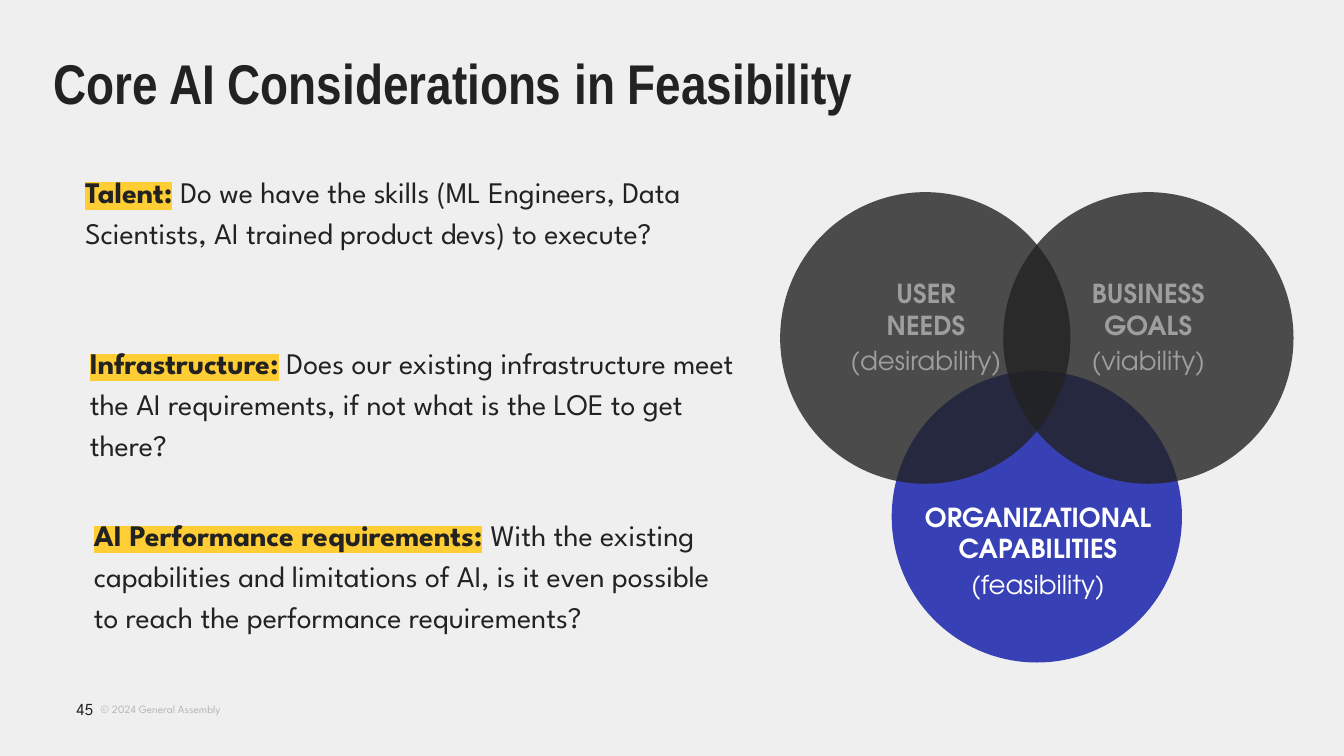
from dataclasses import dataclass

from lxml.etree import SubElement
from pptx import Presentation
from pptx.dml.color import RGBColor
from pptx.enum.shapes import MSO_SHAPE
from pptx.enum.text import MSO_ANCHOR, MSO_AUTO_SIZE, PP_ALIGN
from pptx.oxml import parse_xml
from pptx.oxml.ns import nsdecls, qn
from pptx.util import Pt

SCALE = 4572  # EMU per px, 200 px to the inch


@dataclass(frozen=True)
class Theme:
    back: str = "EFEFEF"
    ink: str = "222222"
    mark: str = "FFCD34"
    blue: str = "3740B5"
    dim: str = "9E9E9E"
    pale: str = "B7B7B7"
    white: str = "FFFFFF"
    head: str = "Arial Narrow"
    body: str = "League Spartan"
    label: str = "TeX Gyre Adventor"
    title_size: int = 30
    body_size: int = 16
    label_size: int = 14
    page_size: int = 9
    foot_size: int = 6


class Deck:
    def __init__(self, theme, wide, high):
        self.theme = theme
        self.file = Presentation()
        self.file.slide_width = wide * SCALE
        self.file.slide_height = high * SCALE
        self.slide = self.file.slides.add_slide(self.file.slide_layouts[5])
        fill = self.slide.background.fill
        fill.solid()
        fill.fore_color.rgb = RGBColor.from_string(theme.back)

    def scale(self, box):
        return [n * SCALE for n in box]

    def frame(self, shape, inset=0, anchor=MSO_ANCHOR.TOP):
        frame = shape.text_frame
        frame.word_wrap = True
        frame.auto_size = MSO_AUTO_SIZE.NONE
        frame.vertical_anchor = anchor
        frame.margin_left = frame.margin_right = inset * SCALE
        frame.margin_top = frame.margin_bottom = inset * SCALE
        return frame

    def run(self, para, text, font, size, color, bold=False, mark=None):
        run = para.add_run()
        run.text = text
        run.font.size = Pt(size)
        run.font.bold = bold
        run.font.color.rgb = RGBColor.from_string(color)
        if mark:
            light = parse_xml(f'<a:highlight {nsdecls("a")}><a:srgbClr val="{mark}"/></a:highlight>')
            run.font.fill._xPr.find(qn("a:solidFill")).addnext(light)
        run.font.name = font

    def text_box(self, box, inset=0, anchor=MSO_ANCHOR.TOP):
        shape = self.slide.shapes.add_textbox(*self.scale(box))
        return self.frame(shape, inset, anchor)

    def title(self, box, text):
        t = self.theme
        shape = self.slide.shapes.title
        shape.left, shape.top, shape.width, shape.height = self.scale(box)
        para = self.frame(shape).paragraphs[0]
        para.alignment = PP_ALIGN.LEFT
        para.line_spacing = 0.9
        self.run(para, text, t.head, t.title_size, t.ink, bold=True)

    def note(self, box, text, size, color, align=PP_ALIGN.LEFT):
        para = self.text_box(box, anchor=MSO_ANCHOR.MIDDLE).paragraphs[0]
        para.alignment = align
        self.run(para, text, self.theme.body, size, color)

    def point(self, box, term, text):
        t = self.theme
        para = self.text_box(box, inset=20).paragraphs[0]
        para.line_spacing = 1.15
        para.space_after = Pt(10)
        self.run(para, term, t.body, t.body_size, t.ink, bold=True, mark=t.mark)
        self.run(para, " ", t.body, t.body_size, t.ink, bold=True)
        self.run(para, text, t.body, t.body_size, t.ink)

    def circle(self, box, color, alpha=100):
        shape = self.slide.shapes.add_shape(MSO_SHAPE.OVAL, *self.scale(box))
        shape.shadow.inherit = False
        shape.line.fill.background()
        shape.fill.solid()
        shape.fill.fore_color.rgb = RGBColor.from_string(color)
        if alpha < 100:
            tint = shape.fill._xPr.find(qn("a:solidFill"))[0]
            SubElement(tint, qn("a:alpha")).set("val", str(alpha * 1000))

    def label(self, box, lines, sub, color):
        t = self.theme
        frame = self.text_box(box, inset=8, anchor=MSO_ANCHOR.MIDDLE)
        top, low = frame.paragraphs[0], frame.add_paragraph()
        top.alignment = low.alignment = PP_ALIGN.CENTER
        low.space_before = low.space_after = Pt(2)
        for i, line in enumerate(lines):
            if i:
                top.add_line_break()
            self.run(top, line, t.label, t.label_size, color, bold=True)
        self.run(low, sub, t.label, t.label_size, color)


def main():
    theme = Theme()
    deck = Deck(theme, 2000, 1125)

    # Footer and title
    deck.note((150, 1035, 200, 40), "© 2024 General Assembly", theme.foot_size, theme.pale)
    deck.title((80, 83, 1800, 100), "Core AI Considerations in Feasibility")
    deck.note((69, 1020, 70, 70), "45", theme.page_size, theme.ink, PP_ALIGN.RIGHT)

    # Considerations
    points = [
        ((107, 230, 1020, 218), "Talent:",
         "Do we have the skills (ML Engineers, Data Scientists, "
         "AI trained product devs) to execute?"),
        ((114, 485, 1006, 218), "Infrastructure:",
         "Does our existing infrastructure meet the AI requirements, "
         "if not what is the LOE to get there?"),
        ((120, 741, 994, 280), "AI Performance requirements:",
         "With the existing capabilities and limitations of AI, "
         "is it even possible to reach the performance requirements?"),
    ]
    for box, term, text in points:
        deck.point(box, term, text)

    # Venn circles: the blue one sits below and midway between the dark pair
    wide, high, left, top, step = 432, 434, 1161, 286, 332
    deck.circle((left + step // 2, top + 266, wide, high), theme.blue)
    for x in (left + step, left):
        deck.circle((x, top, wide, high), theme.ink, alpha=80)

    # Venn labels
    deck.label((1563, 447, 292, 78), ["BUSINESS GOALS"], "(viability)", theme.dim)
    deck.label((1180, 447, 396, 78), ["USER", "NEEDS"], "(desirability)", theme.dim)
    deck.label((1352, 767, 386, 104), ["ORGANIZATIONAL CAPABILITIES"], "(feasibility)", theme.white)

    deck.file.save("out.pptx")


if __name__ == "__main__":
    main()
